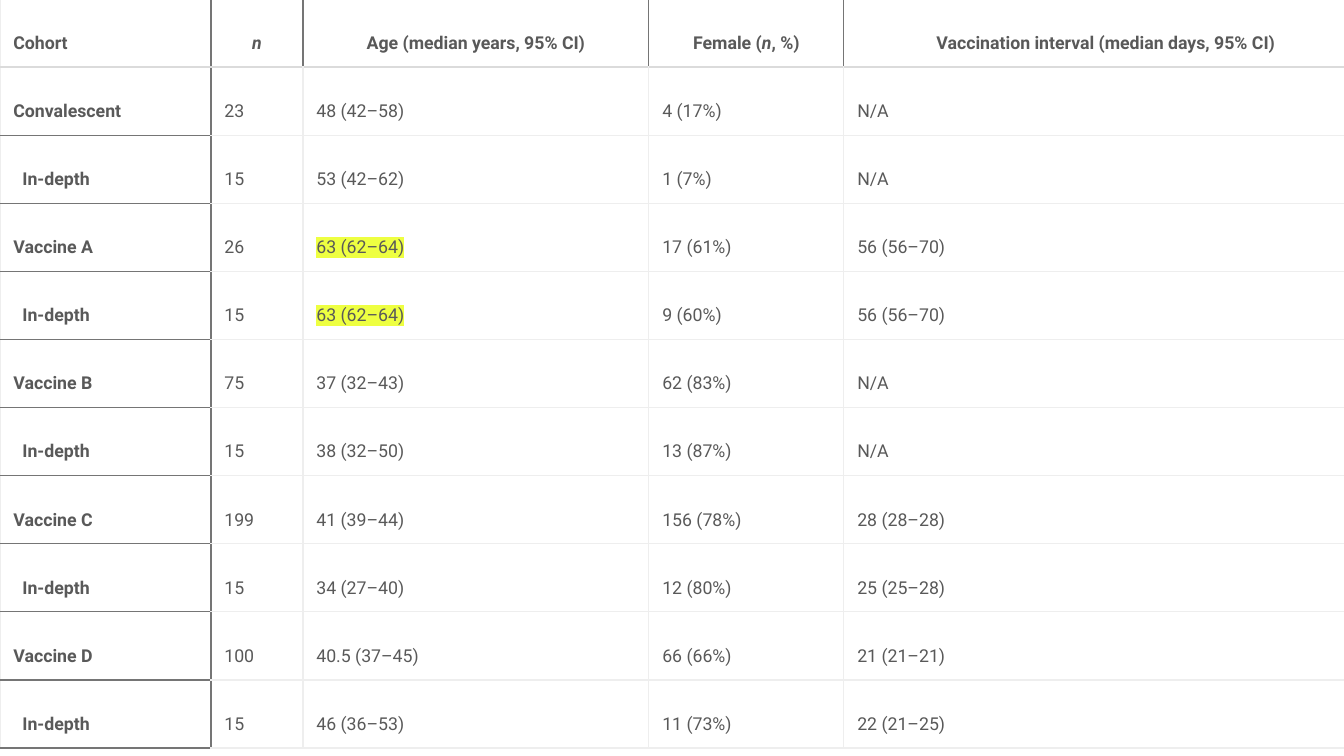
"""Build a slide with one table of vaccine study cohorts."""
from dataclasses import dataclass

from lxml.etree import SubElement
from pptx import Presentation
from pptx.dml.color import RGBColor
from pptx.enum.text import MSO_ANCHOR, PP_ALIGN
from pptx.oxml.ns import qn
from pptx.util import Inches, Pt

SCALE = 914400 / 134.4
WIDTHS = [211, 92, 346, 195, 524]
ROW_HEIGHT = 68
INDENT = 9
HEADER = ["Cohort", "*n*", "Age (median years, 95% CI)", "Female (*n*, %)",
          "Vaccination interval (median days, 95% CI)"]
COHORTS = [
    ["Convalescent", "23", "48 (42–58)", "4 (17%)", "N/A"],
    ["In-depth", "15", "53 (42–62)", "1 (7%)", "N/A"],
    ["Vaccine A", "26", "63 (62–64)", "17 (61%)", "56 (56–70)"],
    ["In-depth", "15", "63 (62–64)", "9 (60%)", "56 (56–70)"],
    ["Vaccine B", "75", "37 (32–43)", "62 (83%)", "N/A"],
    ["In-depth", "15", "38 (32–50)", "13 (87%)", "N/A"],
    ["Vaccine C", "199", "41 (39–44)", "156 (78%)", "28 (28–28)"],
    ["In-depth", "15", "34 (27–40)", "12 (80%)", "25 (25–28)"],
    ["Vaccine D", "100", "40.5 (37–45)", "66 (66%)", "21 (21–21)"],
    ["In-depth", "15", "46 (36–53)", "11 (73%)", "22 (21–25)"],
]
MARKED = "63 (62–64)"


def px(n):
    return round(n * SCALE)


@dataclass(frozen=True)
class Theme:
    font: str = "Roboto"
    size: float = 9.5
    text: str = "595959"
    marker: str = "EEFF41"
    light: tuple = ("EEEEEE", 0.75)
    strong: tuple = ("757575", 0.75)
    rule: tuple = ("DBDBDB", 1.5)
    inset: int = Inches(0.1)


class Deck:
    def __init__(self, theme, width, height):
        self.theme = theme
        self.prs = Presentation()
        self.prs.slide_width, self.prs.slide_height = px(width), px(height)
        self.s = self.prs.slides.add_slide(self.prs.slide_layouts[6])

    def table(self, x, y, widths, row_height, rows):
        frame = self.s.shapes.add_table(len(rows), len(widths), px(x), px(y),
                                        px(sum(widths)), px(row_height * len(rows)))
        table = frame.table
        table.first_row = table.horz_banding = False
        for column, width in zip(table.columns, widths):
            column.width = px(width)
        for i, values in enumerate(rows):
            table.rows[i].height = px(row_height)
            for j, value in enumerate(values):
                cell = table.cell(i, j)
                self.borders(cell, i, j, len(widths))
                cell.fill.background()
                cell.margin_top = cell.margin_bottom = self.theme.inset
                cell.margin_left = cell.margin_right = self.theme.inset
                cell.vertical_anchor = MSO_ANCHOR.BOTTOM if i == 0 else MSO_ANCHOR.TOP
                self.text(cell.text_frame.paragraphs[0], value, i == 0, j == 0)

    def text(self, p, value, header, first):
        p.line_spacing = 2.0
        p.alignment = PP_ALIGN.CENTER if header and not first else PP_ALIGN.LEFT
        if value == "In-depth":
            p._p.get_or_add_pPr().set("marL", str(px(INDENT)))
        p.font.name, p.font.size = self.theme.font, Pt(self.theme.size)
        p.font.bold = header or first
        p.font.color.rgb = RGBColor.from_string(self.theme.text)
        for k, part in enumerate(value.split("*")):
            if part:
                r = p.add_run()
                r.text = part
                if k % 2:
                    r.font.italic = True
                if value == MARKED:
                    self.highlight(r)

    def highlight(self, r):
        mark = SubElement(r._r.get_or_add_rPr(), qn("a:highlight"))
        SubElement(mark, qn("a:srgbClr"), val=self.theme.marker)

    def borders(self, cell, i, j, columns):
        def vertical(edge):
            inner = 0 < edge < columns
            return self.theme.strong if inner and (i == 0 or edge == 1) else self.theme.light

        def horizontal(edge):
            if edge == 1:
                return self.theme.rule
            return self.theme.strong if edge and j == 0 else self.theme.light

        sides = {"L": vertical(j), "R": vertical(j + 1),
                 "T": horizontal(i), "B": horizontal(i + 1)}
        tcPr = cell._tc.get_or_add_tcPr()
        for side, (color, width) in sides.items():
            ln = SubElement(tcPr, qn(f"a:ln{side}"), w=str(Pt(width)))
            SubElement(SubElement(ln, qn("a:solidFill")), qn("a:srgbClr"), val=color)


def main():
    deck = Deck(Theme(), 1344, 756)
    deck.table(0, -1, WIDTHS, ROW_HEIGHT, [HEADER] + COHORTS)
    deck.prs.save("out.pptx")


if __name__ == "__main__":
    main()
